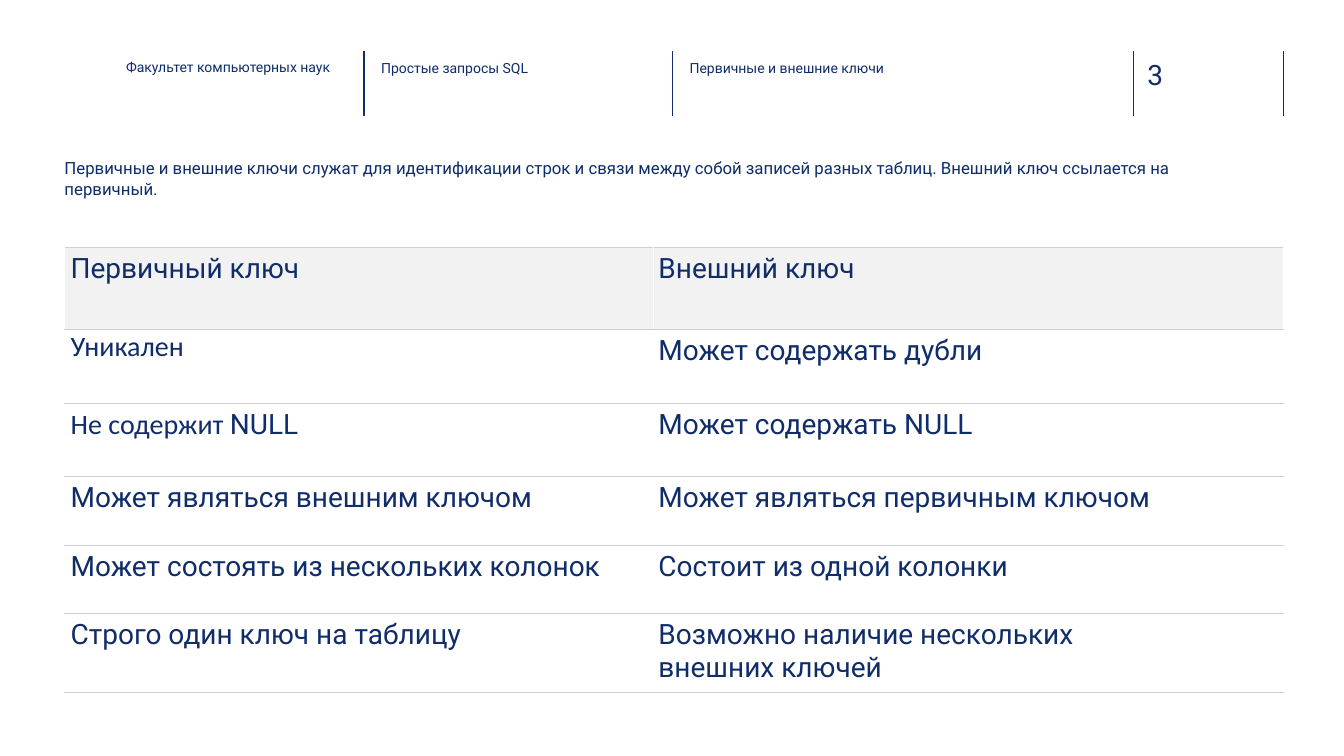
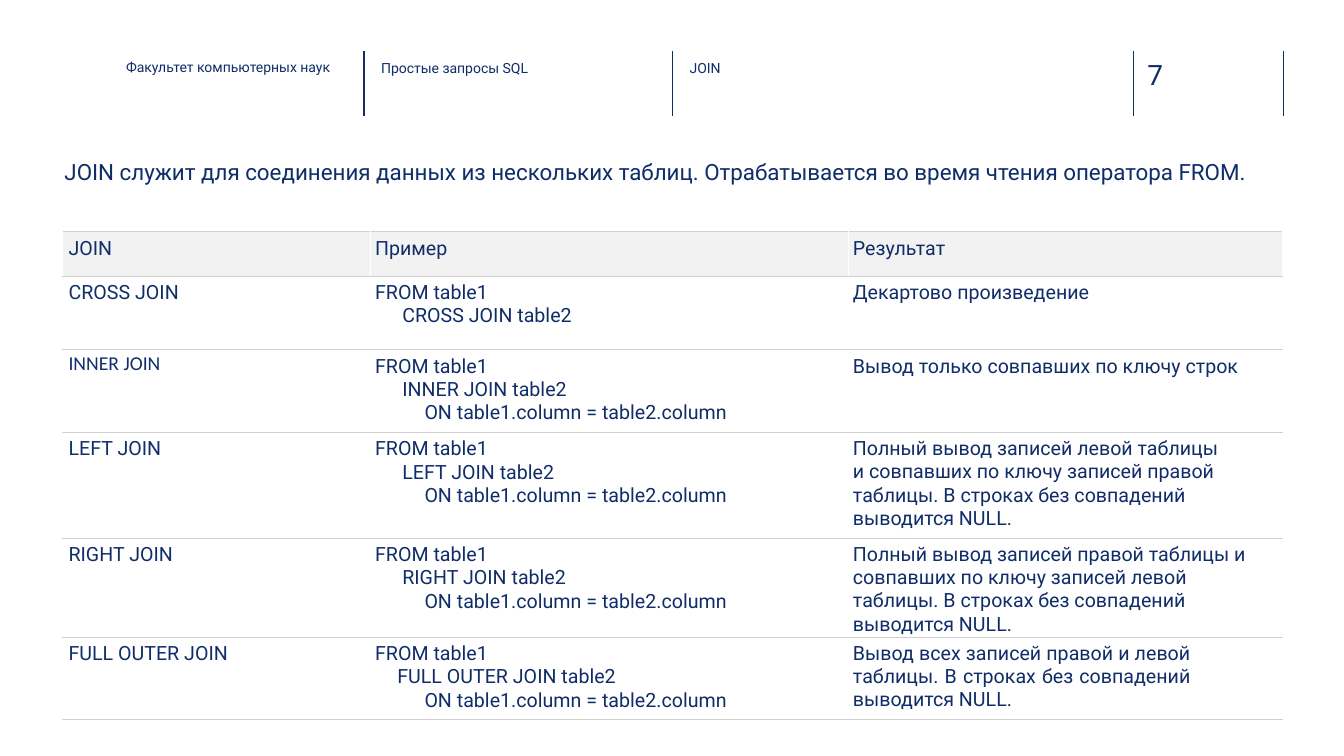
from lxml.etree import SubElement
from pptx import Presentation
from pptx.dml.color import RGBColor
from pptx.enum.shapes import MSO_CONNECTOR
from pptx.enum.text import MSO_ANCHOR, MSO_AUTO_SIZE, PP_ALIGN
from pptx.oxml.ns import qn
from pptx.util import Inches, Pt

COLORS = {"navy": "102D69", "label": "0E2D69", "header": "F2F2F2", "rule": "CFCFCF", "gap": "FFFFFF"}
FRAME_FORMAT = {
    "margin_left": Inches(0.01),
    "margin_top": Inches(0.01),
    "margin_right": 0,
    "margin_bottom": 0,
    "word_wrap": True,
    "auto_size": MSO_AUTO_SIZE.NONE,
    "vertical_anchor": MSO_ANCHOR.TOP,
}
BORDERS = {"lnL": ("gap", 0.25), "lnR": ("gap", 0.25), "lnT": ("rule", 0.75), "lnB": ("rule", 0.75)}
RULES_X = (3.61, 6.67, 11.24, 12.73)
BODY = "Roboto"
ALTERNATE = "Calibri"
CONDITION = "ON table1.column = table2.column"


def add_span(para, text, size, color, font=BODY):
    span = para.add_run()
    span.text = text
    for name, value in {"name": font, "size": Pt(size), "bold": False}.items():
        setattr(span.font, name, value)
    span.font.color.rgb = RGBColor.from_string(COLORS[color])


def fill_box(box, place, text, size, color):
    for name, value in zip(("left", "top", "width", "height"), place):
        setattr(box, name, Inches(value))
    frame = box.text_frame
    for name, value in FRAME_FORMAT.items():
        setattr(frame, name, value)
    para = frame.paragraphs[0]
    para.alignment = PP_ALIGN.LEFT
    add_span(para, text, size, color)


JOINS = [
    ("CROSS JOIN", "Декартово произведение", 0),
    ("INNER JOIN", "Вывод только совпавших по ключу строк", 0),
    (
        "LEFT JOIN",
        "Полный вывод записей левой таблицы и совпавших по ключу записей правой таблицы. "
        "В строках без совпадений выводится NULL.",
        0.5,
    ),
    (
        "RIGHT JOIN",
        "Полный вывод записей правой таблицы и совпавших по ключу записей левой таблицы. "
        "В строках без совпадений выводится NULL.",
        0.2,
    ),
    (
        "FULL OUTER JOIN",
        "Вывод всех записей правой и левой таблицы. В строках без совпадений выводится NULL.",
        0.91,
    ),
]
join_rows = [["JOIN", "Пример", "Результат"]]
for join, result, inset in JOINS:
    example = ["FROM table1", f"{join} table2"]
    if join != "CROSS JOIN":
        example.append(CONDITION)
    join_rows.append([join, "\n".join(example), result])

PAGES = [
    {
        "number": "3",
        "title": "Первичные и внешние ключи",
        "title_width": 1.96,
        "intro": "Первичные и внешние ключи служат для идентификации строк и связи между собой "
        "записей разных таблиц. Внешний ключ ссылается на первичный.",
        "intro_place": (0.63, 1.56, 11.5, 0.43),
        "intro_size": 12,
        "table_at": (0.64, 2.45),
        "columns": (5.84, 6.25),
        "heights": (0.82, 0.73, 0.73, 0.68, 0.68, 0.78),
        "size": 20,
        "rows": [
            ["Первичный ключ", "Внешний ключ"],
            ["Уникален", "Может содержать дубли"],
            ["Не содержит NULL", "Может содержать NULL"],
            ["Может являться внешним ключом", "Может являться первичным ключом"],
            ["Может состоять из нескольких колонок", "Состоит из одной колонки"],
            ["Строго один ключ на таблицу", "Возможно наличие нескольких внешних ключей"],
        ],
        "alternate": {"Уникален": 0, "Не содержит ": 0.05},
        "right_insets": {(5, 1): 1.5},
        "justified": None,
    },
    {
        "number": "7",
        "title": "JOIN",
        "title_width": 0.34,
        "intro": "JOIN служит для соединения данных из нескольких таблиц. "
        "Отрабатывается во время чтения оператора FROM.",
        "intro_place": (0.63, 1.56, 12.04, 0.3),
        "intro_size": 16,
        "table_at": (0.62, 2.3),
        "columns": (3.05, 4.74, 4.31),
        "heights": (0.44, 0.73, 0.82, 1.05, 0.98, 0.82),
        "size": 14,
        "rows": join_rows,
        "alternate": {"INNER JOIN": 0.02},
        "right_insets": {(row, 2): inset for row, (join, result, inset) in enumerate(JOINS, 1)},
        "justified": (5, 2),
    },
]

deck = Presentation()
deck.slide_width = Inches(13.33)
deck.slide_height = Inches(7.5)

for content in PAGES:
    page = deck.slides.add_slide(deck.slide_layouts[5])

    for x in RULES_X:
        rule = page.shapes.add_connector(
            MSO_CONNECTOR.STRAIGHT, Inches(x), Inches(0.51), Inches(x), Inches(1.15)
        )
        rule.line.color.rgb = RGBColor.from_string(COLORS["navy"])
        rule.line.width = Pt(1)
        SubElement(rule.element.spPr, qn("a:effectLst"))

    title_place = (6.83, 0.58, content["title_width"], 0.19)
    fill_box(page.shapes.title, title_place, content["title"], 10, "label")
    for place, text, size, color in (
        ((11.37, 0.56, 0.18, 0.36), content["number"], 20, "navy"),
        ((1.24, 0.57, 2.08, 0.19), "Факультет компьютерных наук", 10, "label"),
        ((3.77, 0.58, 1.5, 0.19), "Простые запросы SQL", 10, "label"),
        (content["intro_place"], content["intro"], content["intro_size"], "label"),
    ):
        fill_box(page.shapes.add_textbox(0, 0, 0, 0), place, text, size, color)

    rows, columns, heights = content["rows"], content["columns"], content["heights"]
    left, top = content["table_at"]
    grid = page.shapes.add_table(
        len(rows), len(columns), Inches(left), Inches(top), Inches(sum(columns)), Inches(sum(heights))
    )
    table = grid.table
    table.first_row = False
    table.horz_banding = False
    for column, width in zip(table.columns, columns):
        column.width = Inches(width)
    for row, height in zip(table.rows, heights):
        row.height = Inches(height)

    for index, (cell, node) in enumerate(zip(table.iter_cells(), grid.element.iter(qn("a:tc")))):
        row, column = divmod(index, len(columns))
        text = rows[row][column]
        prefix = next((start for start in content["alternate"] if text.startswith(start)), "")
        margins = {
            "margin_left": 0.05 if column else 0.06,
            "margin_top": content["alternate"].get(prefix, 0.05),
            "margin_right": content["right_insets"].get((row, column), 0),
            "margin_bottom": 0,
        }
        for name, value in margins.items():
            setattr(cell, name, Inches(value))

        properties = node.get_or_add_tcPr()
        for side, (color, width) in BORDERS.items():
            border = SubElement(properties, qn(f"a:{side}"), w=str(Pt(width)))
            SubElement(SubElement(border, qn("a:solidFill")), qn("a:srgbClr"), val=COLORS[color])
        if row == 0:
            cell.fill.solid()
            cell.fill.fore_color.rgb = RGBColor.from_string(COLORS["header"])
        else:
            cell.fill.background()

        frame = cell.text_frame
        steps = (0, 0.22 if "FULL" in text else 0.27, 0.49)
        for level, line in enumerate(text.split("\n")):
            para = frame.add_paragraph() if level else frame.paragraphs[0]
            para.alignment = PP_ALIGN.JUSTIFY if (row, column) == content["justified"] else PP_ALIGN.LEFT
            if level:
                para.space_before = Pt(0.2)
            if prefix:
                add_span(para, prefix, content["size"], "navy", ALTERNATE)
            if line != prefix:
                add_span(para, line.removeprefix(prefix), content["size"], "navy")
        for step, para_node in zip(steps, node.iter(qn("a:p"))):
            para_node.get_or_add_pPr().set("marL", str(Inches(step)))

deck.save("out.pptx")
